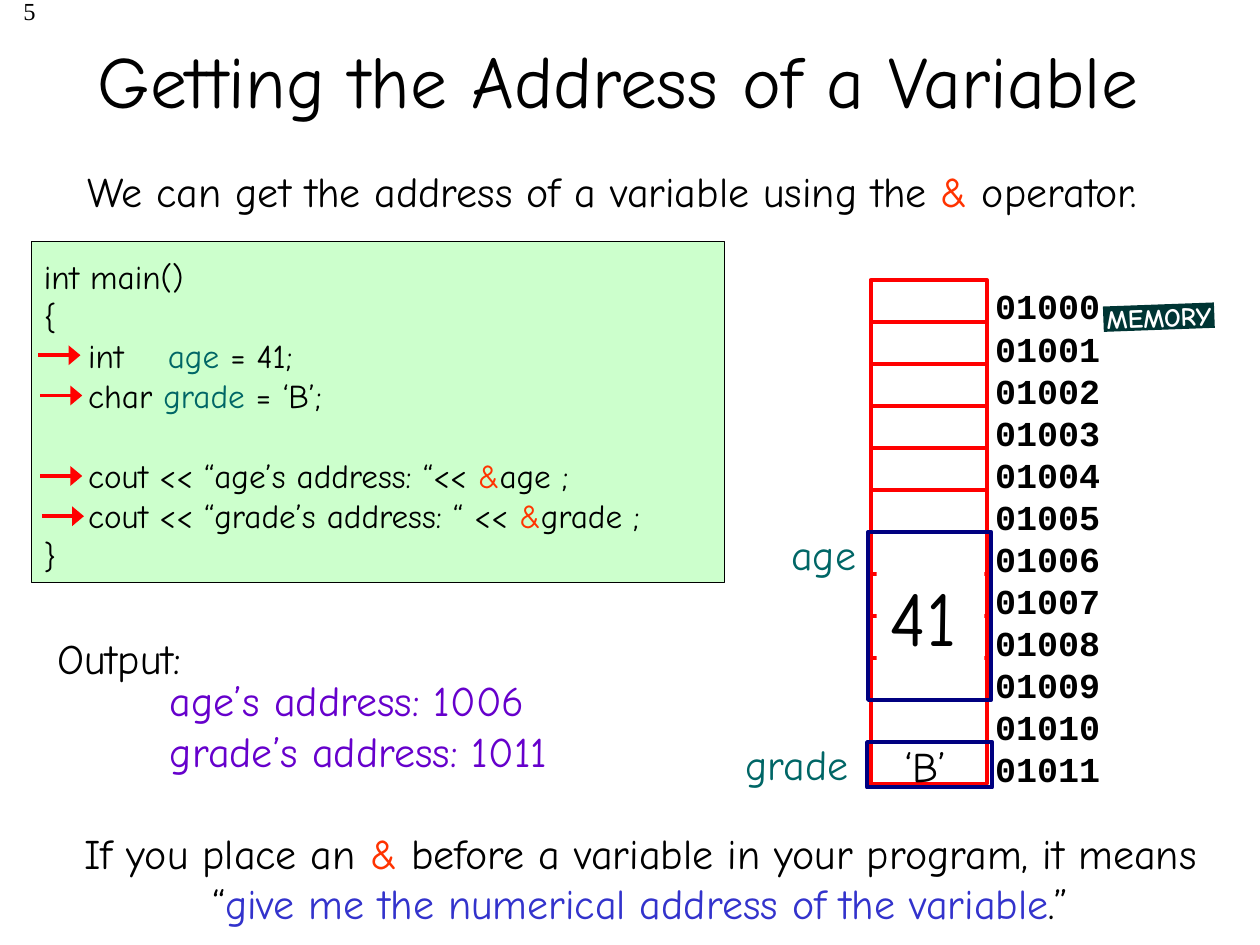
import pptx
import pptx.dml.color
import pptx.enum.shapes
import pptx.enum.text
import pptx.oxml.ns
import pptx.util
from dataclasses import dataclass
from lxml import etree

Pt = pptx.util.Pt
ALIGN = pptx.enum.text.PP_ALIGN
ANCHOR = pptx.enum.text.MSO_ANCHOR


@dataclass(frozen=True)
class Theme:
    font: str = "Comic Neue"
    mono: str = "Courier New"
    serif: str = "Times New Roman"
    title: int = 42
    value: int = 44
    body: int = 24
    address: int = 20
    code: int = 19
    label: int = 15
    number: int = 14
    black: str = "000000"
    white: str = "FFFFFF"
    operator: str = "FF3300"
    variable: str = "006666"
    output: str = "6600CC"
    meaning: str = "3333CC"
    cell: str = "FF0000"
    frame: str = "000080"
    code_fill: str = "CCFFCC"
    label_fill: str = "003534"


theme = Theme()
rgb = pptx.dml.color.RGBColor.from_string

deck = pptx.Presentation()
deck.slide_width, deck.slide_height = Pt(720), Pt(540)
slide = deck.slides.add_slide(deck.slide_layouts[6])


def add_rect(box, fill=None, line=None, width=2.25):
    rect = slide.shapes.add_shape(
        pptx.enum.shapes.MSO_SHAPE.RECTANGLE, *map(Pt, box))
    rect.shadow.inherit = False
    if fill:
        rect.fill.solid()
        rect.fill.fore_color.rgb = rgb(fill)
    else:
        rect.fill.background()
    if line:
        rect.line.color.rgb = rgb(line)
        rect.line.width = Pt(width)
    else:
        rect.line.fill.background()
    return rect


def write(place, paragraphs, size=theme.body, color=theme.black, font=theme.font,
          align=ALIGN.LEFT, anchor=ANCHOR.TOP, wrap=False, bold=None, spacing=None):
    """Write paragraphs of (text, colour) runs into a shape, or a new text box at a place."""
    if isinstance(place, tuple):
        place = slide.shapes.add_textbox(*map(Pt, place))
    frame = place.text_frame
    frame.word_wrap = wrap
    frame.vertical_anchor = anchor
    for index, runs in enumerate(paragraphs):
        paragraph = frame.paragraphs[0] if index == 0 else frame.add_paragraph()
        paragraph.alignment = align
        if spacing:
            paragraph.line_spacing = Pt(spacing)
        paragraph.font.name = font
        paragraph.font.size = Pt(size)
        paragraph.font.bold = bold
        for text, run_color in [(runs, color)] if isinstance(runs, str) else runs:
            if text == "\n":
                paragraph.add_line_break()
                continue
            run = paragraph.add_run()
            run.text = text
            run.font.color.rgb = rgb(run_color)
    return frame


ampersand = ("&", theme.operator)

# Heading
write((0, -6, 27.5, 36), ["5"], theme.number, font=theme.serif, align=ALIGN.RIGHT, wrap=True)
write((-6, 91, 720, 36),
      [[("We can get the address of a variable using the ", theme.black),
        ampersand, (" operator. ", theme.black)]],
      align=ALIGN.CENTER, wrap=True)
write((8, 0, 704, 90), ["Getting the Address of a Variable "], theme.title,
      align=ALIGN.CENTER, anchor=ANCHOR.MIDDLE, wrap=True)

# Memory column
cell_left, cell_top, cell_width, cell_height = 497.5, 160, 66.5, 24
addresses = ["01000", "01001", "01002", "01003", "01004", "01005",
             "01006", "01007", "01008", "01009", "01010", "01011"]
for row in range(len(addresses)):
    add_rect((cell_left, cell_top + row * cell_height, cell_width, cell_height),
             line=theme.cell)
write((561.5, 159.25, 84, 295), addresses, theme.address, font=theme.mono, bold=True,
      wrap=True, spacing=cell_height + 0.05)

# Variables held in memory
write((445, 298.5, 53, 36.5), ["age"], color=theme.variable)
add_rect((496, cell_top + 6 * cell_height, 70.5, 4 * cell_height), line=theme.frame)
write(add_rect((501, 322, 61.5, 60.5), fill=theme.white), ["41"], theme.value)
write((419, 418.5, 79, 36.5), ["grade"], color=theme.variable)
add_rect((495.5, cell_top + 11 * cell_height, 71.5, 26), line=theme.frame)
write((510, 419.5, 38.5, 36), ["‘B’"])

# Program
add_rect((18, 138, 396, 195), fill=theme.code_fill, line=theme.black, width=0.75)
write((18, 142.75, 374.5, 191.5), [
    "int main()",
    "{",
    [("    int    ", theme.black), ("age ", theme.variable), ("= 41;", theme.black)],
    [("    char ", theme.black), ("grade ", theme.variable), ("= ‘B’;", theme.black),
     ("\n", theme.black)],
    [("    cout << “age’s address: “<< ", theme.black), ampersand, ("age ;", theme.black)],
    [("    cout << “grade’s address: “ << ", theme.black), ampersand,
     ("grade ;", theme.black)],
    "}",
], theme.code)

# Arrows at the executed statements
for left, top in [(22, 203), (23, 226), (23, 272), (24, 295)]:
    arrow = slide.shapes.add_connector(
        pptx.enum.shapes.MSO_CONNECTOR.STRAIGHT, Pt(left), Pt(top), Pt(left + 24), Pt(top))
    arrow.line.color.rgb = rgb(theme.cell)
    arrow.line.width = Pt(2.25)
    etree.SubElement(arrow.line._get_or_add_ln(), pptx.oxml.ns.qn("a:tailEnd"),
                     type="triangle", w="lg", len="med")
    etree.SubElement(arrow._element.spPr, pptx.oxml.ns.qn("a:effectLst"))

# Output and conclusion
write((18, 358, 100.5, 36), ["Output:"], align=ALIGN.CENTER)
for top, printed in [(382, "age’s address: 1006"), (411, "grade’s address: 1011")]:
    write((90, top, 289.5, 36), [printed], color=theme.output, wrap=True)
write((24, 469.25, 684, 65),
      [[("If you place an ", theme.black), ampersand,
        (" before a variable in your program, it means “", theme.black),
        ("give me the numerical address of the variable", theme.meaning),
        (".”", theme.black)]],
      align=ALIGN.CENTER, wrap=True)

# Memory label
label = add_rect((630.5, 174, 63.5, 14.5), fill=theme.label_fill)
label.rotation = 357.9
label_frame = write(label, ["MEMORY"], theme.label, theme.white, align=ALIGN.CENTER,
                    anchor=ANCHOR.MIDDLE, bold=True)
label_frame.margin_left = label_frame.margin_right = 0
label_frame.margin_top = label_frame.margin_bottom = 0

deck.save("out.pptx")
